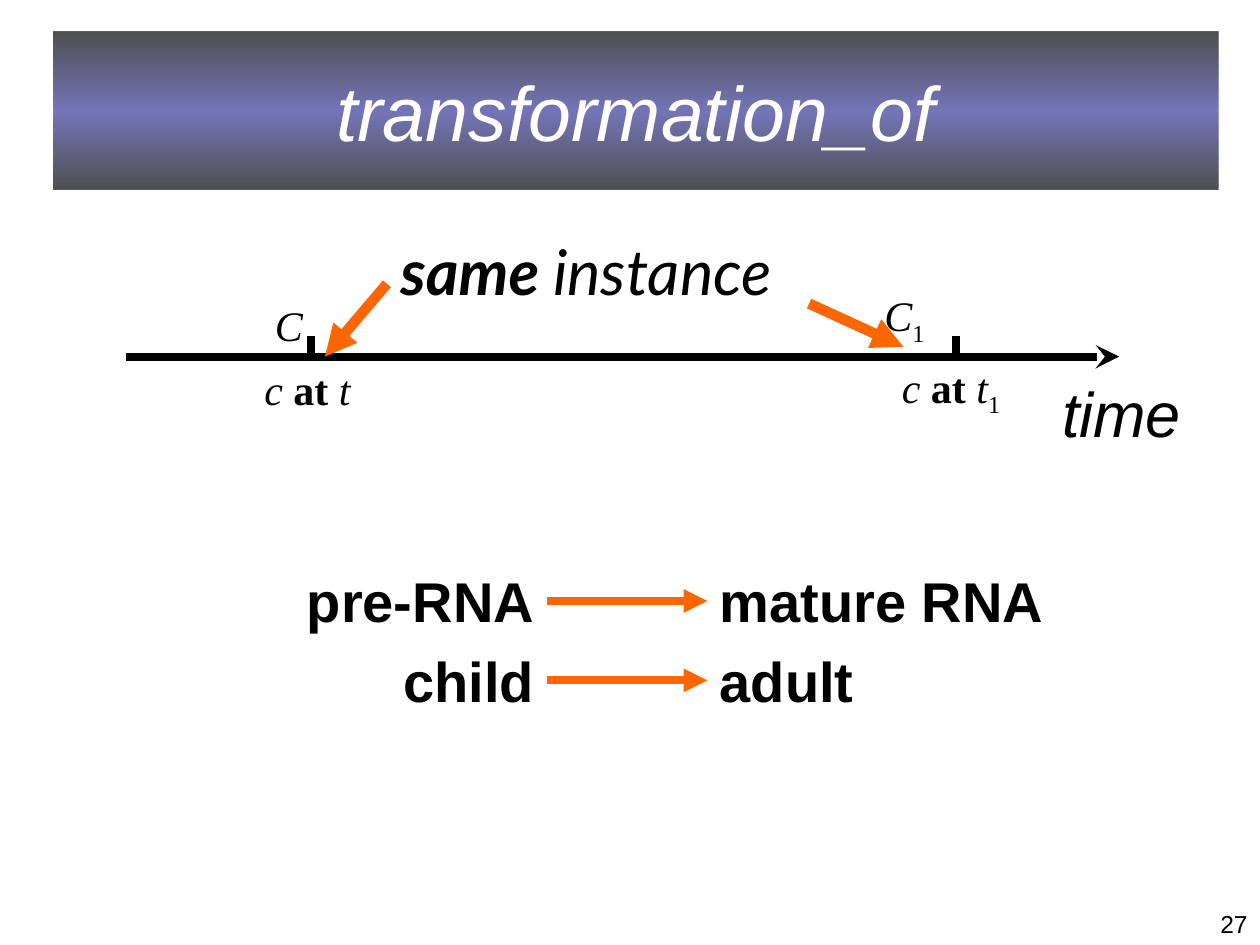
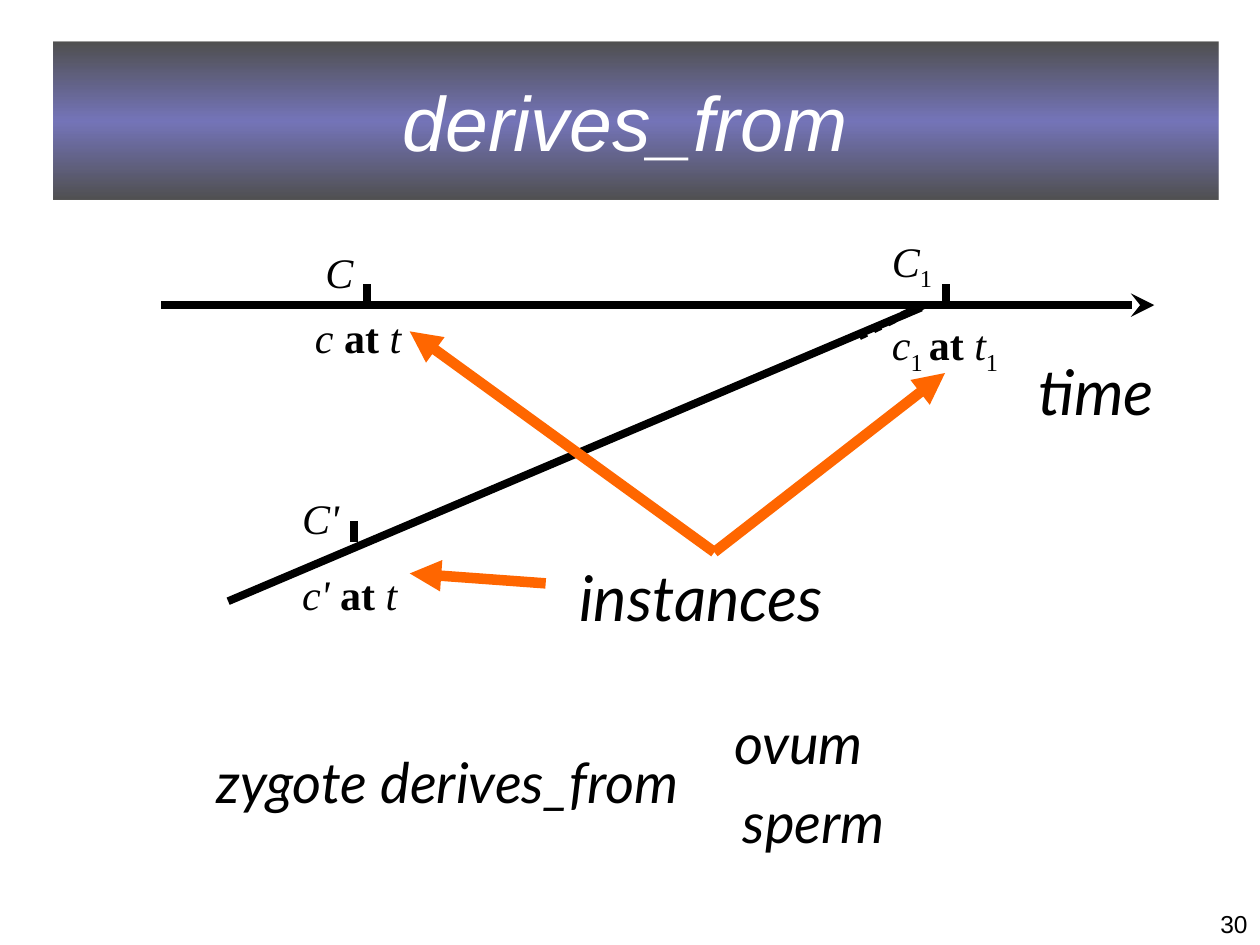
from pptx import Presentation
from pptx.dml.color import RGBColor as RGB
from pptx.enum.dml import MSO_LINE_DASH_STYLE as DASH
from pptx.enum.shapes import MSO_CONNECTOR as CONN, MSO_SHAPE as SHAPE
from pptx.enum.text import MSO_ANCHOR as ANCHOR, PP_ALIGN as ALIGN
from pptx.oxml import parse_xml
from pptx.oxml.ns import nsdecls, qn
from pptx.util import Cm, Pt

COLORS = {"ink": "000000", "accent": "FF6600", "band": "333399", "title": "FFFFFF"}
FORMATS = {
    "title": {"name": "Arial", "size": Pt(44), "italic": True},
    "symbol": {"name": "Times New Roman", "size": Pt(24)},
    "axis": {"name": "Arial", "size": Pt(36), "italic": True},
    "callout": {"name": "Lato", "size": Pt(36), "italic": True},
    "term": {"name": "Arial", "size": Pt(32), "bold": True},
    "example": {"name": "Lato", "size": Pt(32), "italic": True},
    "number": {"name": "Arial", "size": Pt(14)},
}
STYLES = {"": {}, "i": {"italic": True}, "b": {"bold": True}, "sub": {}}
AXIS_LENGTH = 20.02
C_AT_T = [("c ", "i"), ("at ", "b"), ("t", "i")]
C1 = [("C", "i"), ("1", "sub")]


def set_font(font, values, color):
    for key, value in values.items():
        setattr(font, key, value)
    font.color.rgb = RGB.from_string(COLORS[color])


def write(p, runs, kind, color="ink"):
    if isinstance(runs, str):
        runs = [(runs, "")]
    for text, style in runs:
        r = p.add_run()
        r.text = text
        set_font(r.font, {**FORMATS[kind], **STYLES[style]}, color)
        if style == "sub":
            r._r.get_or_add_rPr().set("baseline", "-25000")


def add_text(slide, box, paragraphs, kind, align=ALIGN.LEFT, gap=0, indent=0, wrap=True):
    tf = slide.shapes.add_textbox(*map(Cm, box)).text_frame
    tf.word_wrap = wrap
    for i, runs in enumerate(paragraphs):
        p = tf.add_paragraph() if i else tf.paragraphs[0]
        p.alignment = align
        if i:
            p.space_before = Pt(gap)
        elif indent:
            p._p.get_or_add_pPr().set("marL", str(Cm(indent)))
        write(p, runs, kind)


def add_line(slide, start, end, color="ink", width=4.5, arrow=None, dash=None):
    s = slide.shapes.add_connector(CONN.STRAIGHT, *map(Cm, (*start, *end)))
    s.line.color.rgb = RGB.from_string(COLORS[color])
    s.line.width = Pt(width)
    if dash:
        s.line.dash_style = dash
    if arrow:
        s.line._get_or_add_ln().append(
            parse_xml(f'<a:tailEnd {nsdecls("a")} type="{arrow}"/>'))
    s._element.spPr.append(parse_xml(f'<a:effectLst {nsdecls("a")}/>'))


def add_pointer(slide, start, end, width=6):
    add_line(slide, start, end, "accent", width, "triangle")


def add_axis(slide, x, y):
    add_line(slide, (x, y), (x + AXIS_LENGTH, y), arrow="stealth")


def add_tick(slide, x, bottom):
    add_line(slide, (x, bottom - 0.42), (x, bottom))


def add_start_label(slide, x, y):
    add_text(slide, (x, y, 2.8, 2.84), [[("C", "i")], C_AT_T], "symbol", gap=8, indent=0.21)


def add_title(slide, top, text):
    s = slide.shapes.add_shape(SHAPE.RECTANGLE, *map(Cm, (1.07, top, 23.5, 3.18)))
    s.shadow.inherit = False
    s.line.fill.background()
    stops = "".join(
        f'<a:gs pos="{pos}000"><a:srgbClr val="{COLORS[name]}">'
        f'<a:alpha val="{alpha}000"/></a:srgbClr></a:gs>'
        for pos, name, alpha in ((0, "ink", 68), (50, "band", 67), (100, "ink", 68)))
    s._element.spPr.find(qn("a:prstGeom")).addnext(parse_xml(
        f'<a:gradFill {nsdecls("a")} rotWithShape="1"><a:gsLst>{stops}</a:gsLst>'
        '<a:lin ang="5400000" scaled="1"/></a:gradFill>'))
    tf = s.text_frame
    tf.word_wrap = True
    tf.vertical_anchor = ANCHOR.MIDDLE
    p = tf.paragraphs[0]
    p.alignment = ALIGN.CENTER
    write(p, text, "title", "title")


def add_number(slide, number):
    add_text(slide, (20.96, 18.21, 4.44, 0.84), [str(number)], "number", ALIGN.RIGHT)


def add_change(slide, top, before, after):
    left, right, height = 11.02, 14.26, 1.63
    add_text(slide, (left - 6, top, 6, height), [before], "term", ALIGN.RIGHT)
    add_text(slide, (right, top, 8, height), [after], "term")
    add_pointer(slide, (left, top + height / 2), (right, top + height / 2), 4.5)


def build_transformation(slide):
    axis_y = 7.19
    add_text(slide, (17.93, 7.16, 3.2, 1.3), [C_AT_T + [("1", "sub")]], "symbol")
    add_axis(slide, 2.54, axis_y)
    add_start_label(slide, 5.08, 5.91)
    for x in (6.27, 19.28):
        add_tick(slide, x, axis_y)
    add_text(slide, (17.58, 5.72, 3.6, 1.42), [C1], "symbol")
    add_text(slide, (21.16, 7.42, 4.2, 1.78), ["time"], "axis")
    add_text(slide, (7.82, 4.57, 9.73, 1.78), [[("same ", "b"), ("instance", "")]], "callout")
    add_pointer(slide, (16.31, 6.12), (18.21, 6.99))
    add_pointer(slide, (7.8, 5.72), (6.55, 7.19))
    add_title(slide, 0.64, "transformation_of")
    for i, pair in enumerate((("pre-RNA", "mature RNA"), ("child", "adult"))):
        add_change(slide, 11.3 + 1.6 * i, *pair)
    add_number(slide, 27)


def build_derivation(slide):
    axis_y = 6.15
    add_axis(slide, 3.25, axis_y)
    add_line(slide, (4.6, 12.12), (18.57, 6.2))
    add_line(slide, (17.32, 6.78), (18.62, axis_y), dash=DASH.ROUND_DOT)
    add_start_label(slide, 6.1, 4.85)
    for x, bottom in ((7.39, axis_y), (19.08, axis_y), (7.14, 10.92)):
        add_tick(slide, x, bottom)
    c1_at_t1 = [("c", "i"), ("1 ", "sub"), ("at ", "b"), ("t", "i"), ("1", "sub")]
    add_text(slide, (17.73, 4.62, 3.2, 3.4), [C1, c1_at_t1], "symbol", gap=15)
    c_prime_at_t = [("c' ", "i")] + C_AT_T[1:]
    add_text(slide, (5.84, 9.8, 4.24, 2.82), [[("C'", "i")], c_prime_at_t], "symbol", gap=15)
    add_text(slide, (20.68, 6.98, 3, 1.78), ["time"], "callout", wrap=False)
    add_text(slide, (11.43, 11.13, 8.69, 1.78), ["instances"], "callout")
    fork = (14.4, 11.13)
    for start, end in ((fork, (19.05, 7.52)), (fork, (8.26, 6.68)),
                       ((11, 11.76), (8.26, 11.56))):
        add_pointer(slide, start, end)
    for text, box, align in (
            ("zygote derives_from", (3.78, 14.94, 10.49, 1.63), ALIGN.CENTER),
            ("ovum", (14.55, 14.15, 3.3, 1.63), ALIGN.LEFT),
            ("sperm", (14.58, 15.75, 3.66, 1.63), ALIGN.CENTER)):
        add_text(slide, box, [text], "example", align, wrap=False)
    add_title(slide, 0.84, "derives_from ")
    add_number(slide, 30)


def main():
    prs = Presentation()
    prs.slide_width, prs.slide_height = Cm(25.4), Cm(19.05)
    for build in (build_transformation, build_derivation):
        build(prs.slides.add_slide(prs.slide_layouts[6]))
    prs.save("out.pptx")


if __name__ == "__main__":
    main()
